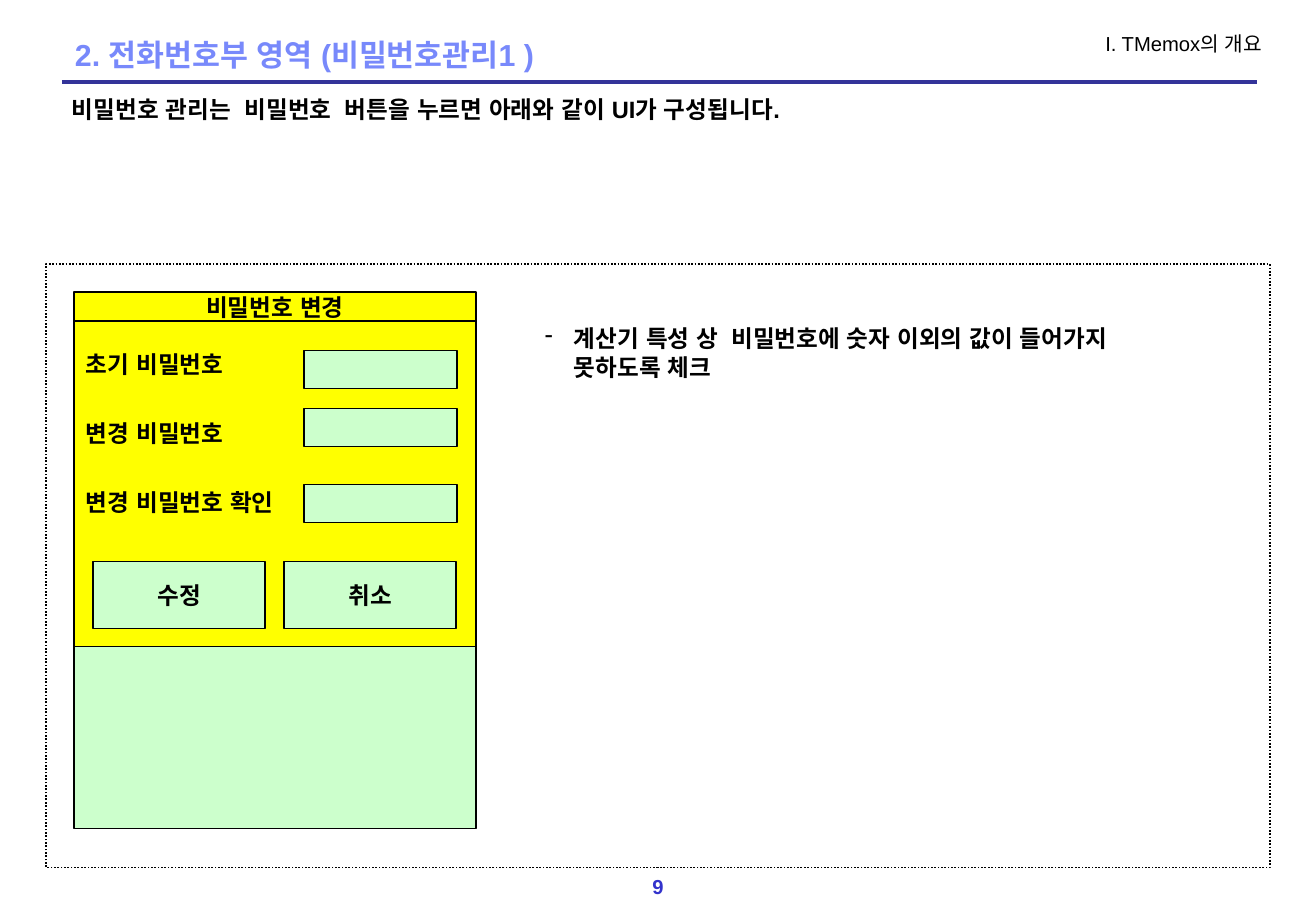
from lxml import etree
from pptx import Presentation, util as u
from pptx.dml.color import RGBColor
from pptx.enum import dml, shapes, text
from pptx.oxml.ns import qn

SLIDE_INCHES = (10.84, 7.5)
SCALE = 914400 / 121.4
FONT = "Arial"
BLACK, YELLOW, MINT = "000000", "FFFF00", "CCFFCC"
LEFT, CENTER, RIGHT = text.PP_ALIGN.LEFT, text.PP_ALIGN.CENTER, text.PP_ALIGN.RIGHT
TOP, MIDDLE = text.MSO_ANCHOR.TOP, text.MSO_ANCHOR.MIDDLE

TITLE = "2. 전화번호부 영역 (비밀번호관리1 )"
CHAPTER = "I. TMemox의 개요"
SUMMARY = "비밀번호 관리는  비밀번호  버튼을 누르면 아래와 같이 UI가 구성됩니다."
RULE_NOTE = "계산기 특성 상  비밀번호에 숫자 이외의 값이 들어가지 못하도록 체크"
PAGE = "9"
DIALOG_TITLE = "비밀번호 변경"
FIELDS = [("초기 비밀번호", 350), ("변경 비밀번호", 408), ("변경 비밀번호 확인", 484)]
BUTTONS = ["수정", "취소"]

DIALOG = (74, 292, 402, 536)
HEADER_H, FORM_H = 29, 325
INPUT_W, INPUT_H = 153, 38
BUTTON_Y, BUTTON_W, BUTTON_H, MARGIN = 561, 172, 67, 19


def px(value):
    return u.Emu(round(value * SCALE))


def color(value):
    return RGBColor.from_string(value)


def write(shape, lines, size=14, ink=BLACK, bold=True, align=LEFT, anchor=TOP,
          inset=(12, 6), wrap=True, after=0):
    frame = shape.text_frame
    frame.word_wrap = wrap
    frame.auto_size = text.MSO_AUTO_SIZE.NONE
    frame.vertical_anchor = anchor
    frame.margin_left = frame.margin_right = px(inset[0])
    frame.margin_top = frame.margin_bottom = px(inset[1])
    for i, line in enumerate(lines):
        paragraph = frame.add_paragraph() if i else frame.paragraphs[0]
        paragraph.alignment = align
        paragraph.space_before, paragraph.space_after = u.Pt(0), u.Pt(after)
        run = paragraph.add_run()
        run.text = line
        run.font.name, run.font.size, run.font.bold = FONT, u.Pt(size), bold
        run.font.color.rgb = color(ink)
        etree.SubElement(run.font._element, qn("a:ea")).set("typeface", FONT)
    return frame


def add_text(slide, box, line, **style):
    return write(slide.shapes.add_textbox(*map(px, box)), [line], **style)


def add_box(slide, box, fill=None, width=0.75):
    shape = slide.shapes.add_shape(shapes.MSO_SHAPE.RECTANGLE, *map(px, box))
    shape.shadow.inherit = False
    if fill:
        shape.fill.solid()
        shape.fill.fore_color.rgb = color(fill)
    else:
        shape.fill.background()
    shape.line.color.rgb = color(BLACK)
    shape.line.width = u.Pt(width)
    return shape


def add_heading(slide):
    rule = slide.shapes.add_connector(shapes.MSO_CONNECTOR.STRAIGHT,
                                      px(62), px(82), px(1257), px(82))
    rule.line.color.rgb = color("333399")
    rule.line.width = u.Pt(2)
    etree.SubElement(rule._element.spPr, qn("a:effectLst"))

    title = slide.shapes.title
    title.left, title.top, title.width, title.height = map(px, (63, 32, 1190, 45))
    write(title, [TITLE], size=18, ink="7889FB", anchor=MIDDLE)
    add_text(slide, (63, 91, 1193, 35), SUMMARY, inset=(9, 4))
    add_text(slide, (1096, 25, 178, 36), CHAPTER, size=12, bold=False,
             align=RIGHT, wrap=False)
    add_text(slide, (639, 867, 38, 38), PAGE, size=12, ink="3333CC", align=CENTER,
             anchor=MIDDLE, inset=(7, 7), wrap=False)


def add_note(slide):
    note = add_text(slide, (533, 318, 631, 70), RULE_NOTE)
    props = note.paragraphs[0]._p.get_or_add_pPr()
    props.set("marL", str(px(29)))
    props.set("indent", str(-px(29)))
    etree.SubElement(props, qn("a:buChar")).set("char", "-")


def add_dialog(slide):
    left, top, width, _ = DIALOG
    right = left + width
    add_box(slide, DIALOG, MINT)
    header = add_box(slide, (left, top, width, HEADER_H), YELLOW)
    write(header, [DIALOG_TITLE], align=CENTER, anchor=MIDDLE, inset=(12, 0))
    form = add_box(slide, (left, top + HEADER_H, width, FORM_H), YELLOW)
    write(form, [label for label, _ in FIELDS], inset=(12, 29), after=24)
    for _, y in FIELDS:
        add_box(slide, (right - MARGIN - INPUT_W, y, INPUT_W, INPUT_H), MINT)
    for i, label in enumerate(BUTTONS):
        x = left + MARGIN + i * (BUTTON_W + MARGIN)
        button = add_box(slide, (x, BUTTON_Y, BUTTON_W, BUTTON_H), MINT)
        write(button, [label], align=CENTER, anchor=MIDDLE)


def main():
    """Build the password management slide."""
    deck = Presentation()
    deck.slide_width, deck.slide_height = map(u.Inches, SLIDE_INCHES)
    slide = deck.slides.add_slide(deck.slide_layouts[5])
    add_heading(slide)
    frame = add_box(slide, (46, 264, 1224, 603), width=1)
    frame.line.dash_style = dml.MSO_LINE.ROUND_DOT
    add_note(slide)
    add_dialog(slide)
    deck.save("out.pptx")


if __name__ == "__main__":
    main()
